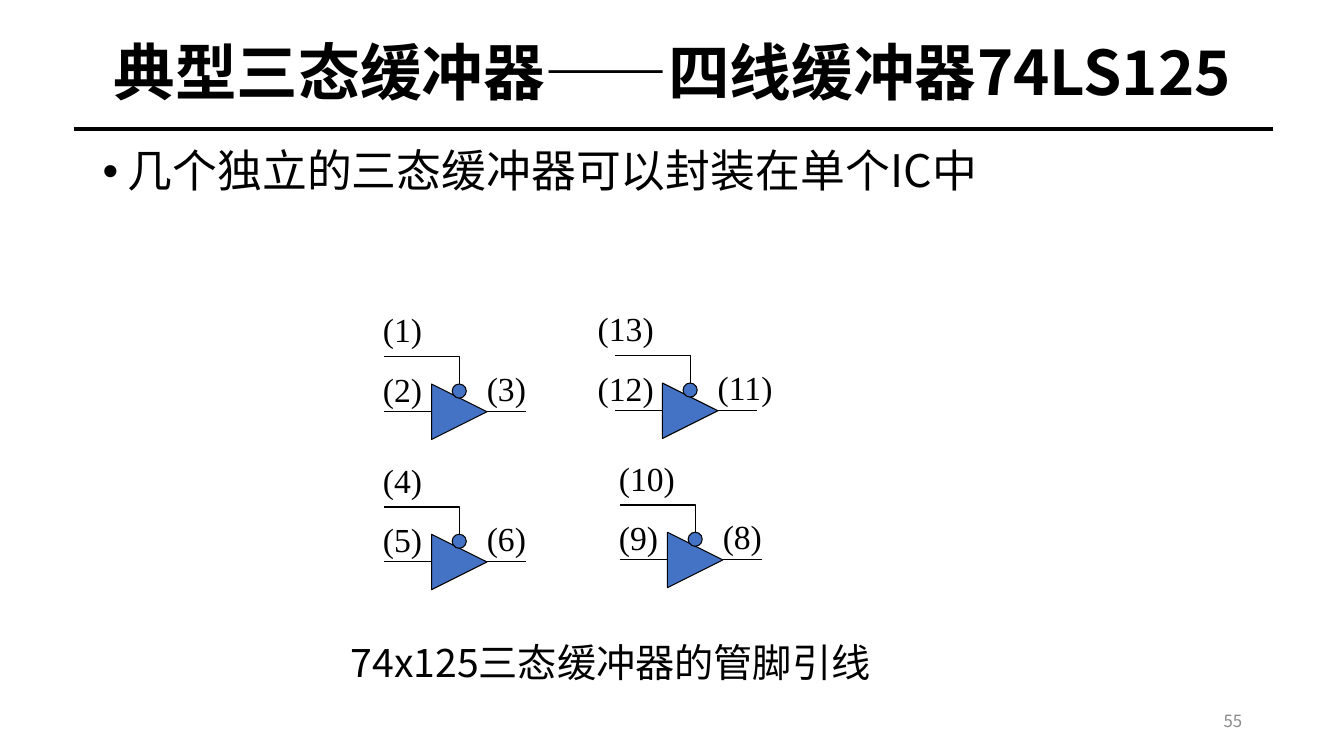
from lxml.etree import SubElement
from pptx import Presentation
from pptx.dml.color import RGBColor
from pptx.enum.shapes import MSO_CONNECTOR as Link, MSO_SHAPE as Preset
from pptx.enum.text import MSO_ANCHOR as Anchor, PP_ALIGN as Align
from pptx.oxml.ns import qn
from pptx.util import Inches, Pt

BLACK = RGBColor(0x00, 0x00, 0x00)
GREY = RGBColor(0x89, 0x89, 0x89)
BLUE = RGBColor(0x44, 0x72, 0xC4)
SANS = "Noto Sans CJK SC"
SERIF = "Times New Roman"
GATE = 0.55
BUBBLE = 0.14

BUFFERS = [
    (4.28, 3.81, -0.58, ("(1)", "(2)", "(3)")),
    (6.57, 3.80, -0.74, ("(13)", "(12)", "(11)")),
    (4.28, 5.30, -0.58, ("(4)", "(5)", "(6)")),
    (6.62, 5.28, -0.58, ("(10)", "(9)", "(8)")),
]


def apply(target, values):
    for key, value in values.items():
        setattr(target, key, value)


class BufferSlide:
    def __init__(self, slide):
        self.shapes = slide.shapes

    def text(self, box, words, size, face=SANS, color=BLACK, bold=False,
             bullet=None, frame=None, paragraph=None):
        text_frame = self.shapes.add_textbox(*map(Inches, box)).text_frame
        apply(text_frame, {"word_wrap": True, **(frame or {})})
        line = text_frame.paragraphs[0]
        apply(line, paragraph or {})
        if bullet:
            props = line._p.get_or_add_pPr()
            props.set("marL", str(Inches(0.25)))
            props.set("indent", str(-Inches(0.25)))
            SubElement(props, qn("a:buFont"), typeface="Arial")
            SubElement(props, qn("a:buChar"), char=bullet)
        run = line.add_run()
        run.text = words
        apply(run.font, {"size": Pt(size), "name": face, "bold": bold})
        run.font.color.rgb = color
        SubElement(run._r.get_or_add_rPr(), qn("a:ea"), typeface=face)

    def line(self, start, end, width=0.75, bent=False):
        kind = Link.ELBOW if bent else Link.STRAIGHT
        wire = self.shapes.add_connector(kind, *map(Inches, start + end))
        wire.line.color.rgb = BLACK
        wire.line.width = Pt(width)
        props = wire._element.spPr
        if bent:
            props.find(qn("a:prstGeom")).set("prst", "bentConnector2")
        SubElement(props, qn("a:effectLst"))

    def symbol(self, preset, left, top, side, rotation=0):
        part = self.shapes.add_shape(
            preset, *map(Inches, (left, top, side, side)))
        part.rotation = rotation
        part.shadow.inherit = False
        part.fill.solid()
        part.fill.fore_color.rgb = BLUE
        part.line.color.rgb = BLACK
        part.line.width = Pt(0.75)

    def buffer(self, x, y, label_dx, pins):
        middle = y + GATE / 2
        center = x + GATE / 2
        self.symbol(Preset.FLOWCHART_EXTRACT, x, y, GATE, 90)
        self.line((x - 0.47, middle), (x, middle))
        self.line((x - 0.47, y - 0.27), (center, y + BUBBLE), bent=True)
        self.line((x + GATE, middle), (x + 0.94, middle))
        self.symbol(Preset.OVAL, center - BUBBLE / 2, y, BUBBLE)
        offsets = ((label_dx, -0.79), (label_dx, -0.2), (0.45, -0.21))
        for pin, (dx, dy) in zip(pins, offsets):
            self.text((x + dx, y + dy, 0.79, 0.51), pin, 24, SERIF)


def main():
    deck = Presentation()
    apply(deck, {"slide_width": Inches(13.33), "slide_height": Inches(7.5)})
    page = BufferSlide(deck.slides.add_slide(deck.slide_layouts[6]))

    page.line((0.73, 1.28), (12.63, 1.28), 3)
    page.text((9.42, 6.95, 3, 0.4), "55", 12, color=GREY,
              frame={"vertical_anchor": Anchor.MIDDLE},
              paragraph={"alignment": Align.RIGHT})
    page.text((0.92, 1.43, 11.5, 5.32), "几个独立的三态缓冲器可以封装在单个IC中",
              32, bullet="•", paragraph={"line_spacing": 0.9})
    for x, y, label_dx, pins in BUFFERS:
        page.buffer(x, y, label_dx, pins)
    page.text((3.38, 6.28, 6.67, 0.57), "74x125三态缓冲器的管脚引线", 28)
    page.text((0.92, 0.4, 11.5, 0.7), "典型三态缓冲器——四线缓冲器74LS125",
              44, bold=True,
              frame={"vertical_anchor": Anchor.MIDDLE, "word_wrap": False},
              paragraph={"alignment": Align.CENTER, "line_spacing": 0.9})
    deck.save("out.pptx")


if __name__ == "__main__":
    main()
